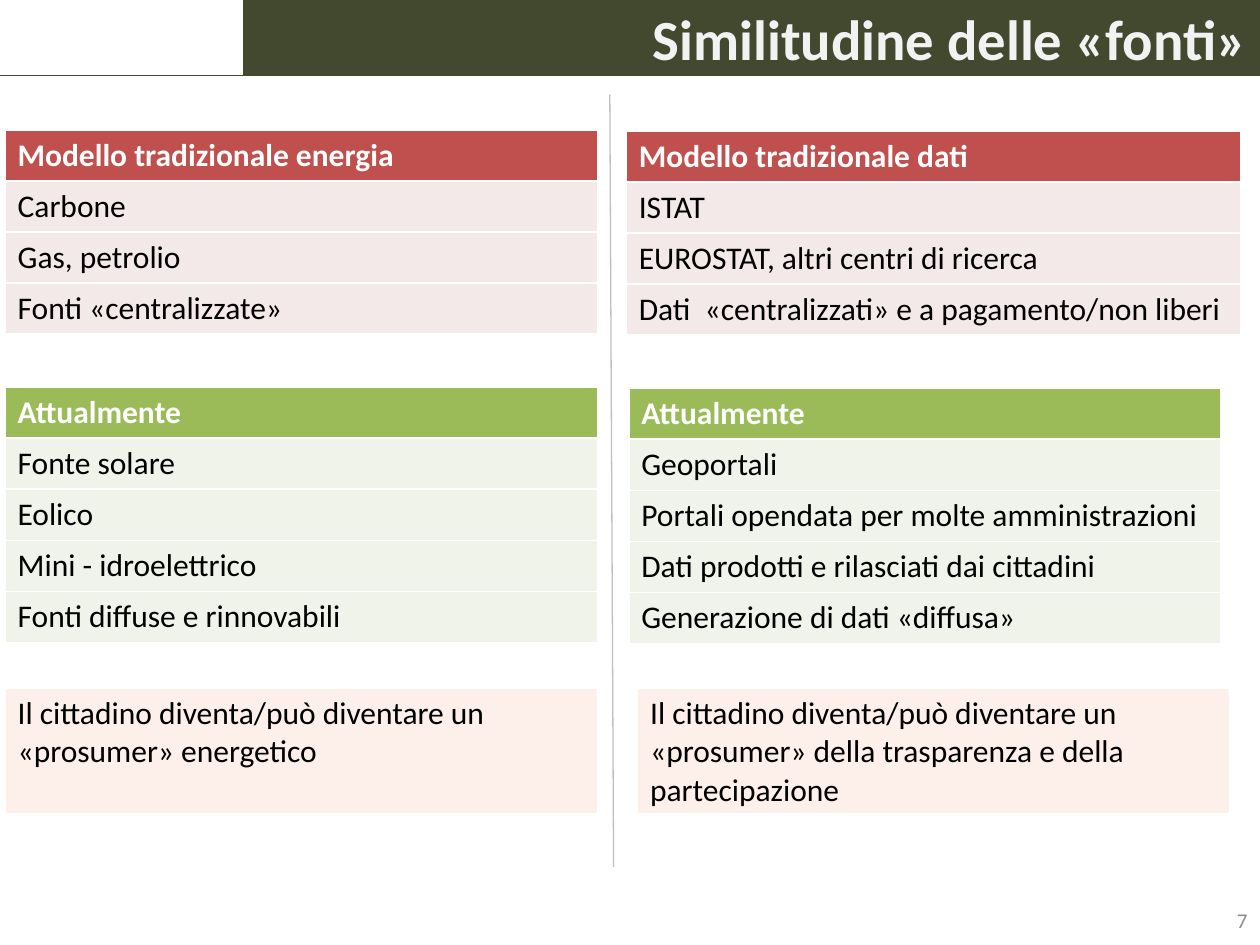
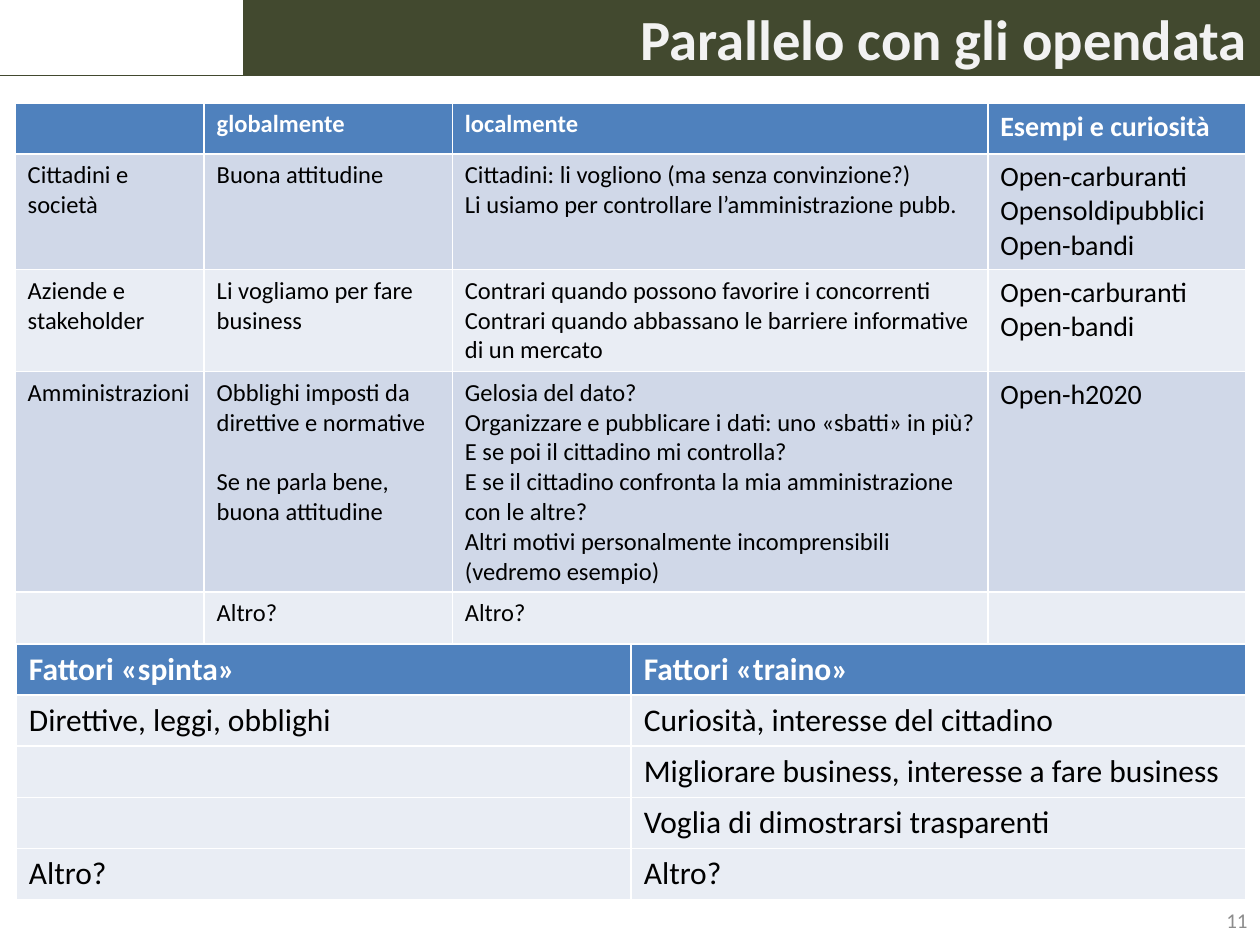
from dataclasses import dataclass

from lxml import etree
from pptx import Presentation
from pptx.dml.color import RGBColor
from pptx.enum import shapes, text
from pptx.oxml import ns
from pptx.util import Inches, Pt


@dataclass(frozen=True)
class Theme:
    font: str = "Calibri"
    paper: str = "FFFFFF"
    ink: str = "000000"
    band: str = "42492F"
    band_text: str = "F2F2F2"
    number: str = "8C8C8C"
    divider: str = "BFBFBF"
    red: tuple = ("C0504D", "F4E9E9")
    green: tuple = ("9BBB59", "EFF3EA")
    blue: tuple = ("4F81BD", "E9EDF4")
    blue_banded: tuple = ("4F81BD", "D0D8E8", "E9EDF4")
    note: str = "FDEFE9"
    title_size: float = 32.4
    body_size: float = 18
    example_size: float = 16
    small_size: float = 14
    number_size: float = 12


THEME = Theme()
BAND_HEIGHT = 0.6


def set_all(target, values):
    for name, value in values.items():
        setattr(target, name, value)


def paint(fill, color):
    fill.solid()
    fill.fore_color.rgb = RGBColor.from_string(color)


def write(p, words, size, color, bold=False):
    r = p.add_run()
    r.text = words
    set_all(r.font, {"name": THEME.font, "size": Pt(size), "bold": bold})
    r.font.color.rgb = RGBColor.from_string(color)


def add_line(s, start, end, color):
    points = [Inches(v) for v in (*start, *end)]
    line = s.shapes.add_connector(shapes.MSO_CONNECTOR.STRAIGHT, *points)
    line.line.width = Pt(0.75)
    line.line.color.rgb = RGBColor.from_string(color)
    etree.SubElement(line._element.spPr, ns.qn("a:effectLst"))


def add_frame(s, number, title):
    paint(s.background.fill, THEME.paper)
    add_line(s, (0, BAND_HEIGHT), (10, BAND_HEIGHT), THEME.band)
    band = s.shapes.add_shape(shapes.MSO_SHAPE.RECTANGLE, Inches(1.93), 0,
                              Inches(8.07), Inches(BAND_HEIGHT))
    band.shadow.inherit = False
    paint(band.fill, THEME.band)
    band.line.fill.background()
    page = s.shapes.add_textbox(Inches(9.4), Inches(7.1), Inches(0.6), Inches(0.4))
    for sp, words, size, color, bold in (
            (band, title, THEME.title_size, THEME.band_text, True),
            (page, number, THEME.number_size, THEME.number, False)):
        tf = sp.text_frame
        set_all(tf, {"word_wrap": True, "vertical_anchor": text.MSO_ANCHOR.MIDDLE,
                     "margin_top": 0, "margin_bottom": 0})
        p = tf.paragraphs[0]
        p.alignment = text.PP_ALIGN.RIGHT
        write(p, words, size, color, bold)


def fill_cell(cell, words, size, color, bold):
    tf = cell.text_frame
    tf.word_wrap = True
    p = tf.paragraphs[0]
    first = True
    for group in words.split("\n\n"):
        for index, line in enumerate(group.split("\n")):
            if not first:
                p = tf.add_paragraph()
                if index == 0:
                    p.space_before = Pt(size * 1.22)
            first = False
            if line:
                write(p, line, size, color, bold)


def add_grid(s, box, rows, colors, widths=None, heights=None, sizes=None, header=True):
    left, top, width, height = box
    count = len(rows[0])
    widths = widths or [width / count] * count
    heights = heights or [height / len(rows)] * len(rows)
    sizes = sizes or [THEME.body_size] * count
    table = s.shapes.add_table(len(rows), count, *(Inches(v) for v in box)).table
    set_all(table, {"first_row": header, "horz_banding": False})
    for column, value in zip(table.columns, widths):
        column.width = Inches(value)
    bands = colors[1:] if header else colors
    for i, row in enumerate(rows):
        table.rows[i].height = Inches(heights[i])
        is_head = header and i == 0
        fill = colors[0] if is_head else bands[(i - header) % len(bands)]
        color = THEME.paper if is_head else THEME.ink
        for j, words in enumerate(row):
            cell = table.cell(i, j)
            paint(cell.fill, fill)
            fill_cell(cell, words, sizes[j], color, is_head)


def add_source_list(s, box, lines, colors):
    add_grid(s, box, [[line] for line in lines], colors)


def add_note(s, box, words):
    add_grid(s, box, [[words]], (THEME.note,), header=False)


def build_sources(s):
    add_frame(s, "7", "Similitudine delle «fonti»")
    add_line(s, (4.87, 6.88), (4.84, 0.75), THEME.divider)
    add_source_list(s, (0.04, 1.03, 4.7, 1.62), (
        "Modello tradizionale energia", "Carbone", "Gas, petrolio",
        "Fonti «centralizzate»"), THEME.red)
    add_source_list(s, (4.97, 1.04, 4.88, 1.62), (
        "Modello tradizionale dati", "ISTAT", "EUROSTAT, altri centri di ricerca",
        "Dati  «centralizzati» e a pagamento/non liberi"), THEME.red)
    add_source_list(s, (0.04, 3.07, 4.7, 2.03), (
        "Attualmente", "Fonte solare", "Eolico", "Mini - idroelettrico",
        "Fonti diffuse e rinnovabili"), THEME.green)
    add_source_list(s, (4.99, 3.08, 4.7, 2.03), (
        "Attualmente", "Geoportali", "Portali opendata per molte amministrazioni",
        "Dati prodotti e rilasciati dai cittadini",
        "Generazione di dati «diffusa»"), THEME.green)
    prosumer = "Il cittadino diventa/può diventare un «prosumer» "
    add_note(s, (0.04, 5.46, 4.7, 1), prosumer + "energetico")
    add_note(s, (5.06, 5.46, 4.7, 1),
             prosumer + "della trasparenza e della partecipazione")


def add_attitudes(s, box):
    rows = (
        ("", "globalmente", "localmente", "Esempi e curiosità"),
        ("Cittadini e società", "Buona attitudine",
         "Cittadini: li vogliono (ma senza convinzione?)\n"
         "Li usiamo per controllare l’amministrazione pubb.",
         "Open-carburanti\nOpensoldipubblici\nOpen-bandi"),
        ("Aziende e stakeholder", "Li vogliamo per fare business",
         "Contrari quando possono favorire i concorrenti\n"
         "Contrari quando abbassano le barriere informative di un mercato",
         "Open-carburanti\nOpen-bandi"),
        ("Amministrazioni",
         "Obblighi imposti da direttive e normative\n\n"
         "Se ne parla bene, buona attitudine",
         "Gelosia del dato?\n"
         "Organizzare e pubblicare i dati: uno «sbatti» in più?\n"
         "E se poi il cittadino mi controlla?\n"
         "E se il cittadino confronta la mia amministrazione con le altre?\n"
         "Altri motivi personalmente incomprensibili (vedremo esempio)",
         "Open-h2020"),
        ("", "Altro?", "Altro?", ""),
    )
    add_grid(s, box, rows, THEME.blue_banded, (1.5, 1.97, 4.25, 2.05),
             (0.4, 0.92, 0.81, 1.75, 0.41),
             (THEME.small_size,) * 3 + (THEME.example_size,))


def add_factors(s, box):
    add_grid(s, box, (
        ("Fattori «spinta»", "Fattori «traino»"),
        ("Direttive, leggi, obblighi", "Curiosità, interesse del cittadino"),
        ("", "Migliorare business, interesse a fare business"),
        ("", "Voglia di dimostrarsi trasparenti"),
        ("Altro?", "Altro?"),
    ), THEME.blue)


def build_parallel(s):
    add_frame(s, "11", "Parallelo con gli opendata")
    add_attitudes(s, (0.12, 0.82, 9.77, 4.29))
    add_factors(s, (0.13, 5.11, 9.76, 2.03))


def main():
    prs = Presentation()
    set_all(prs, {"slide_width": Inches(10), "slide_height": Inches(7.5)})
    for build in (build_sources, build_parallel):
        build(prs.slides.add_slide(prs.slide_layouts[6]))
    prs.save("out.pptx")


if __name__ == "__main__":
    main()
